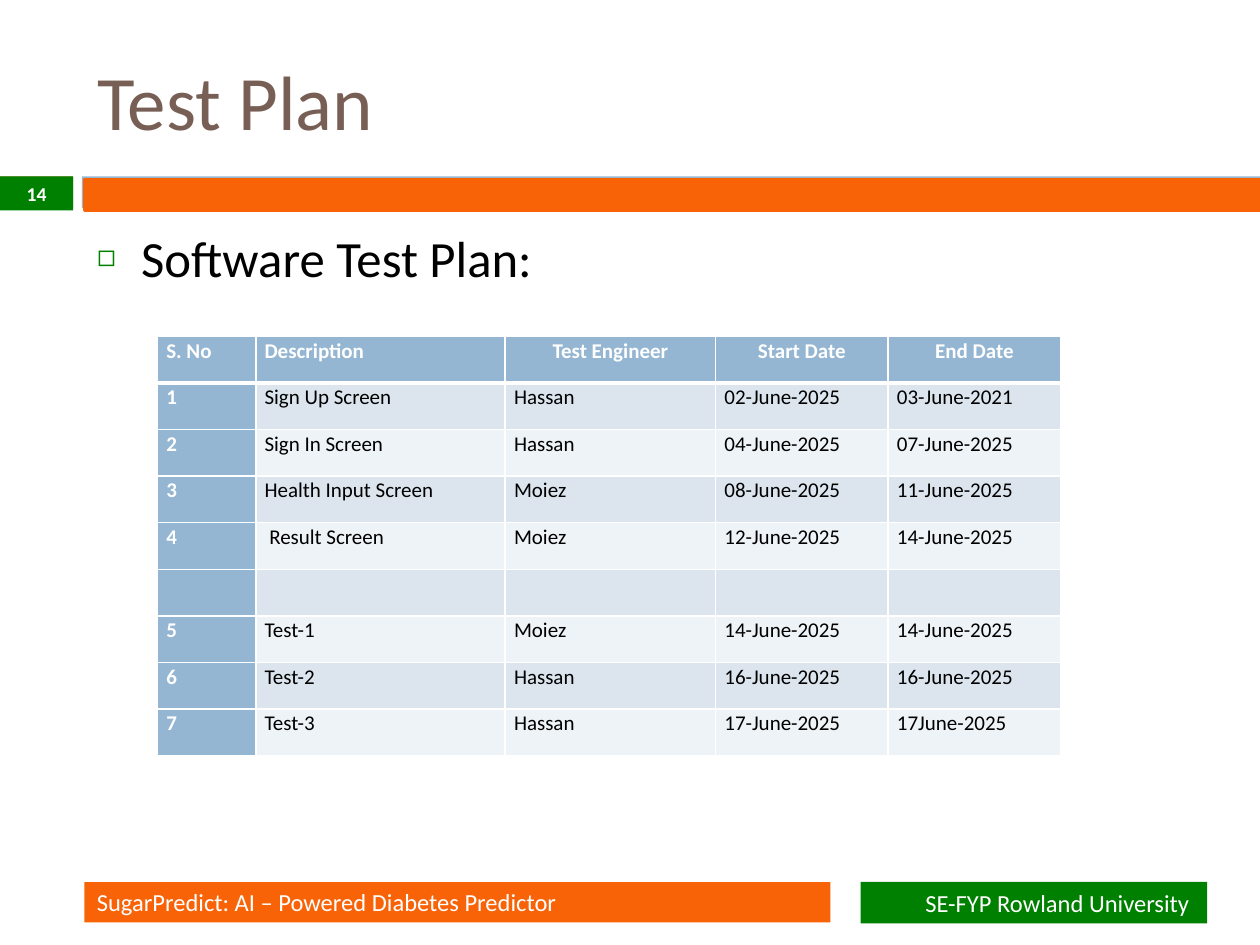
from lxml import etree
from pptx import Presentation
from pptx import util as u
from pptx.dml import color
from pptx.enum import shapes, text
from pptx.oxml import ns

LEFT, MID, RIGHT = text.PP_ALIGN.LEFT, text.PP_ALIGN.CENTER, text.PP_ALIGN.RIGHT
ORANGE, GREEN, BLUE, WHITE = "F86308", "008000", "94B6D2", "FFFFFF"
ROWS = [
    ("S. No", "Description", "Test Engineer", "Start Date", "End Date"),
    ("1", "Sign Up Screen", "Hassan", "02-June-2025", "03-June-2021"),
    ("2", "Sign In Screen", "Hassan", "04-June-2025", "07-June-2025"),
    ("3", "Health Input Screen", "Moiez", "08-June-2025", "11-June-2025"),
    ("4", " Result Screen", "Moiez", "12-June-2025", "14-June-2025"),
    ("",) * 5,
    ("5", "Test-1", "Moiez", "14-June-2025", "14-June-2025"),
    ("6", "Test-2", "Hassan", "16-June-2025", "16-June-2025"),
    ("7", "Test-3", "Hassan", "17-June-2025", "17June-2025"),
]


def rgb(code):
    return color.RGBColor.from_string(code)


def apply(obj, form):
    for key, val in form.items():
        setattr(obj, key, val)


def place(obj, box):
    names = ("left", "top", "width", "height")
    apply(obj, dict(zip(names, map(u.Inches, box))))


def node(root, tag, **attrs):
    return etree.SubElement(root, ns.qn(tag), attrs)


class Deck:
    """Holds the text style and the current slide, and draws each kind of element."""

    face = "Calibri"

    def __init__(self):
        self.prs = Presentation()
        apply(self.prs, {"slide_width": u.Inches(10), "slide_height": u.Inches(7.5)})
        self.slide = self.prs.slides.add_slide(self.prs.slide_layouts[1])

    def label(self, frame, words, size, code, bold=False, **form):
        para = frame.paragraphs[0]
        apply(para, form)
        if words:
            run = para.add_run()
            run.text = words
            apply(run.font, {"name": self.face, "size": u.Pt(size), "bold": bold})
            run.font.color.rgb = rgb(code)
        return para

    def title(self, words, box):
        head = self.slide.shapes.title
        place(head, box)
        head.text_frame.vertical_anchor = text.MSO_ANCHOR.MIDDLE
        self.label(head.text_frame, words, 44, "775F55", alignment=LEFT)

    def body(self, words, box):
        item = self.slide.placeholders[1]
        place(item, box)
        para = self.label(item.text_frame, words, 29, "000000", space_before=u.Pt(7))
        props = para._p.get_or_add_pPr()
        dent = u.Inches(0.35)
        props.set("marL", str(dent))
        props.set("indent", str(-dent))
        node(node(props, "a:buClr"), "a:srgbClr", val=GREEN)
        node(props, "a:buSzPct", val="60000")
        node(props, "a:buChar", char="◻")

    def bar(self, box, code, words="", size=14, bold=False, align=LEFT, inset=0.1, edge=0):
        rect = self.slide.shapes.add_shape(
            shapes.MSO_SHAPE.RECTANGLE, *map(u.Inches, box))
        rect.shadow.inherit = False
        rect.fill.solid()
        rect.fill.fore_color.rgb = rgb(code)
        if edge:
            rect.line.color.rgb = rgb(code)
            rect.line.width = u.Pt(edge)
        else:
            rect.line.fill.background()
        apply(rect.text_frame, {
            "vertical_anchor": text.MSO_ANCHOR.MIDDLE, "word_wrap": True,
            "margin_right": u.Inches(inset), "margin_top": 0, "margin_bottom": 0})
        self.label(rect.text_frame, words, size, WHITE, bold, alignment=align)

    def edges(self, cell, base):
        props = cell._tc.get_or_add_tcPr()
        for spot, (tag, wide) in enumerate(
                (("a:lnL", 1), ("a:lnR", 1), ("a:lnT", 1), ("a:lnB", base))):
            line = node(props, tag, w=str(u.Pt(wide)))
            node(node(line, "a:solidFill"), "a:srgbClr", val=WHITE)
            props.insert(spot, line)

    def table(self, rows, box, cols):
        frame = self.slide.shapes.add_table(
            len(rows), len(cols), *map(u.Inches, box))
        grid = frame.table
        for col, wide in zip(grid.columns, cols):
            col.width = u.Inches(wide)
        for r, row in enumerate(rows):
            for c, words in enumerate(row):
                cell, key = grid.cell(r, c), r == 0 or c == 0
                apply(cell, {
                    "margin_left": u.Inches(0.07), "margin_right": u.Inches(0.07),
                    "margin_top": 0, "margin_bottom": 0})
                cell.fill.solid()
                cell.fill.fore_color.rgb = rgb(
                    BLUE if key else "DCE5EE" if r % 2 else "EEF3F7")
                self.edges(cell, 1 if r else 3)
                self.label(
                    cell.text_frame, words, 12, WHITE if key else "000000", key,
                    alignment=MID if r == 0 and c > 1 else LEFT,
                    line_spacing=1.07, space_after=u.Pt(8))


def main():
    deck = Deck()
    deck.bar((0, 1.4, 0.58, 0.25), "DD8047")
    deck.bar((0.65, 1.4, 9.35, 0.25), BLUE)
    deck.bar((0.67, 1.42, 9.33, 0.25), ORANGE, edge=1.5)
    deck.title("Test Plan", (0.67, 0.25, 8.33, 1.08))
    deck.bar((0.67, 7, 5.92, 0.32), ORANGE, "SugarPredict: AI – Powered Diabetes Predictor")
    deck.bar((0, 1.4, 0.58, 0.27), GREEN, "14", 11.2, True, MID)
    deck.bar((6.83, 7, 2.75, 0.33), GREEN, "SE-FYP Rowland University",
             align=RIGHT, inset=0.14)
    deck.body("Software Test Plan:", (0.67, 1.75, 8.92, 4.92))
    deck.table(ROWS, (1.25, 2.67, 7.17, 3.33), (0.78, 1.98, 1.67, 1.37, 1.37))
    deck.prs.save("out.pptx")


if __name__ == "__main__":
    main()
